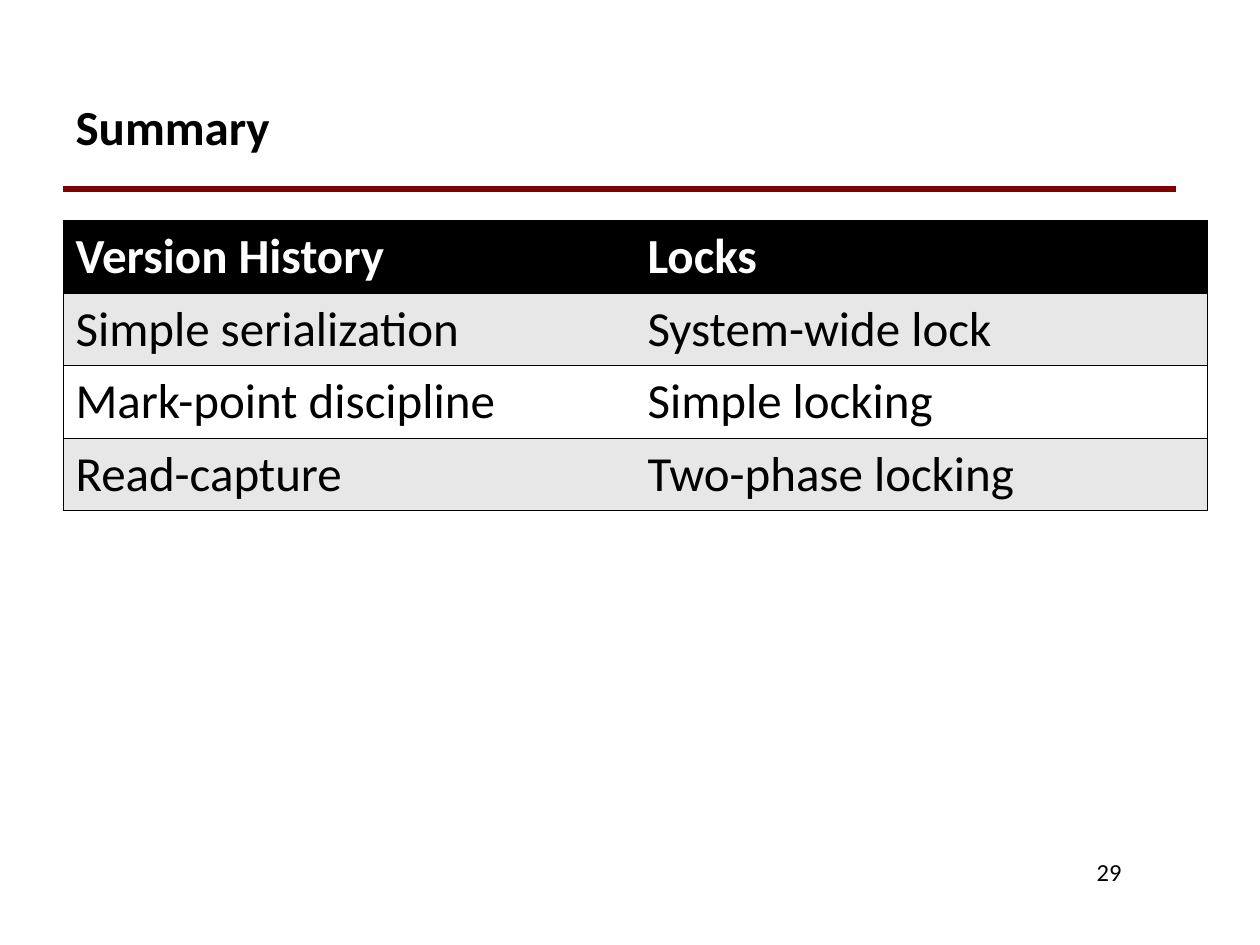
from lxml import etree
from pptx import Presentation
from pptx import util as u
from pptx.dml.color import RGBColor
from pptx.enum import shapes, text
from pptx.oxml.ns import qn


def color(value):
    return RGBColor.from_string(value)


def add_run(paragraph, content, size, value, bold=False):
    run = paragraph.add_run()
    run.text = content
    run.font.name = "Calibri"
    run.font.size = u.Pt(size)
    run.font.bold = bold
    run.font.color.rgb = color(value)


presentation = Presentation()
presentation.slide_width = u.Cm(25.4)
presentation.slide_height = u.Cm(19.05)
slide = presentation.slides.add_slide(presentation.slide_layouts[5])

left = u.Cm(1.27)
content_width = u.Cm(22.43)

rule = slide.shapes.add_connector(
    shapes.MSO_CONNECTOR.STRAIGHT, left, u.Cm(3.81), left + content_width, u.Cm(3.81))
rule.line.color.rgb = color("800000")
rule.line.width = u.Pt(3)
etree.SubElement(rule._element.spPr, qn("a:effectLst"))

title = slide.shapes.title
title.left, title.top = left, u.Cm(1.27)
title.width, title.height = content_width, u.Cm(2.54)
title.text_frame.vertical_anchor = text.MSO_ANCHOR.MIDDLE
paragraph = title.text_frame.paragraphs[0]
paragraph.alignment = text.PP_ALIGN.LEFT
add_run(paragraph, "Summary", 28, "000000", bold=True)

rows = [
    ("Version History", "Locks"),
    ("Simple serialization", "System-wide lock"),
    ("Mark-point discipline", "Simple locking"),
    ("Read-capture", "Two-phase locking"),
]
row_fills = ["000000", "E7E7E7", "FFFFFF", "E7E7E7"]
cell_borders = ["LTB", "RTB"]

table = slide.shapes.add_table(
    len(rows), 2, left, u.Cm(4.45), u.Cm(23.06), u.Cm(5.76)).table
for row_index, row in enumerate(rows):
    is_header = row_index == 0
    for column_index, content in enumerate(row):
        cell = table.cell(row_index, column_index)
        properties = cell._tc.get_or_add_tcPr()
        for side in "LRTB":
            border = etree.SubElement(properties, qn("a:ln" + side), w=str(u.Pt(0.45)))
            if side in cell_borders[column_index]:
                fill = etree.SubElement(border, qn("a:solidFill"))
                etree.SubElement(fill, qn("a:srgbClr"), val="000000")
            else:
                etree.SubElement(border, qn("a:noFill"))
        cell.fill.solid()
        cell.fill.fore_color.rgb = color(row_fills[row_index])
        add_run(cell.text_frame.paragraphs[0], content, 28,
                "FFFFFF" if is_header else "000000", bold=is_header)

page_number = slide.shapes.add_textbox(u.Cm(19.25), u.Cm(17.15), u.Cm(3.61), u.Cm(1.27))
page_number.text_frame.word_wrap = True
paragraph = page_number.text_frame.paragraphs[0]
paragraph.alignment = text.PP_ALIGN.RIGHT
add_run(paragraph, "29", 14, "000000")

presentation.save("out.pptx")
